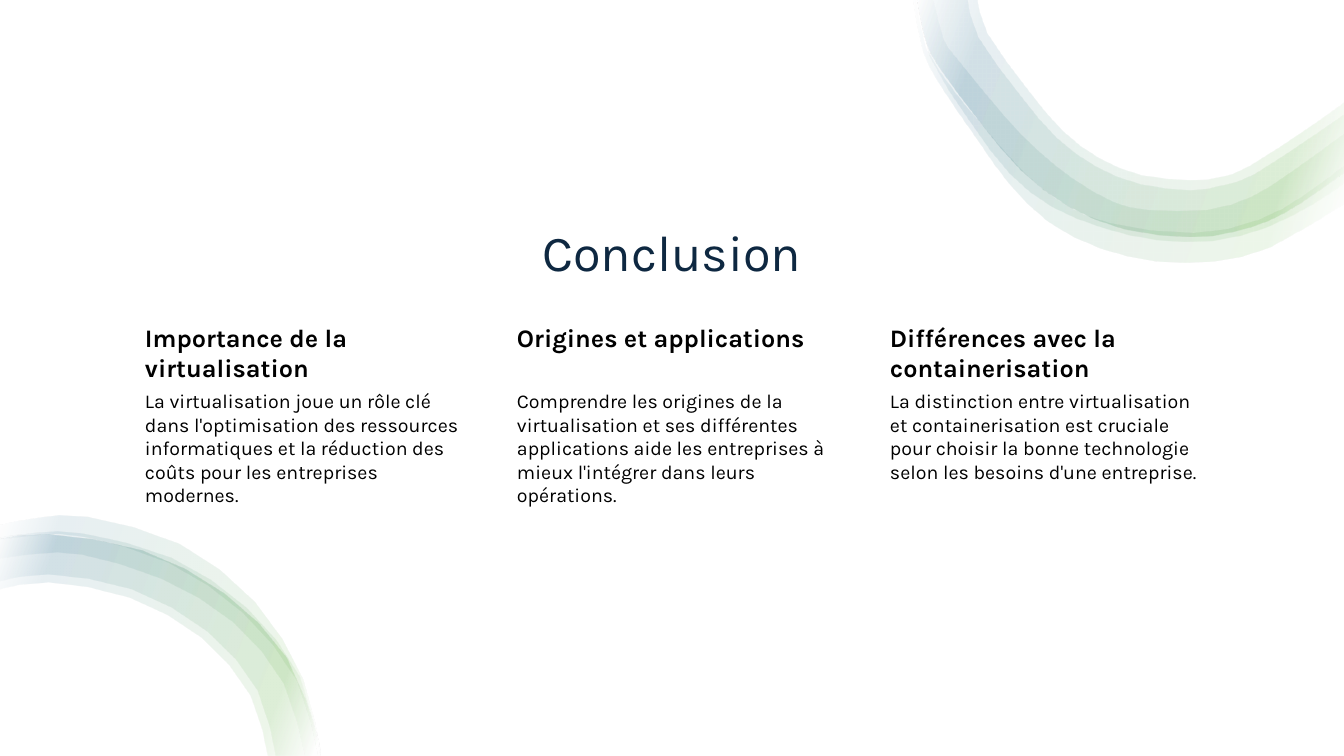
import pptx
import pptx.dml.color
import pptx.enum.shapes
import pptx.enum.text
import pptx.oxml
import pptx.oxml.ns
import pptx.util

RGBColor = pptx.dml.color.RGBColor
WHITE = RGBColor(0xFF, 0xFF, 0xFF)
BLACK = RGBColor(0x00, 0x00, 0x00)
NAVY = RGBColor(0x0E, 0x28, 0x41)
GREEN = RGBColor(0x4E, 0xA7, 0x2E)
TEAL = RGBColor(0x15, 0x60, 0x82)

WIDTH, HEIGHT = 1344, 756
EMU_PER_PX = 914400 / 100.8
RIBBON_STOPS = [(2, WHITE), (16, GREEN), (85, TEAL), (100, WHITE)]
RIBBON_OPACITY = 10
RIBBON_ANGLE = 200
CURVE_STEPS = 2

# Edges of the ribbon in the upper right corner, from left to right
UPPER_CORE = [
    (918, 0), (926, 40), (940, 68), (981, 123), (1021, 170), (1068, 206),
    (1124, 229), (1190, 237), (1231, 232), (1267, 221), (1300, 203), (1344, 172)]
UPPER_RIBBONS = [
    ([(914, 0), (923, 50), (941, 86), (978, 140), (1009, 183), (1049, 222),
      (1100, 248), (1156, 261), (1215, 261), (1271, 247), (1344, 204)],
     [(917, 0), (927, 49), (956, 93), (981, 123), (1023, 171), (1063, 203),
      (1110, 223), (1194, 233), (1258, 220), (1303, 196), (1344, 166)]),
    ([(918, 0), (931, 58), (971, 122), (1010, 173), (1052, 206), (1103, 227),
      (1156, 239), (1212, 240), (1265, 227), (1313, 203), (1344, 182)],
     [(934, 0), (944, 39), (957, 58), (1004, 115), (1037, 149), (1073, 178),
      (1113, 201), (1148, 209), (1207, 209), (1251, 196), (1291, 171),
      (1344, 133)]),
    (UPPER_CORE,
     [(968, 0), (979, 38), (1021, 96), (1057, 138), (1097, 167), (1140, 184),
      (1190, 190), (1223, 185), (1254, 174), (1318, 132), (1344, 114)]),
    (UPPER_CORE,
     [(978, 0), (988, 34), (1029, 91), (1063, 131), (1099, 158), (1141, 175),
      (1190, 180), (1220, 177), (1249, 166), (1312, 125), (1344, 102)]),
]

# Edges of the ribbon in the lower left corner, from left to right
LOWER_CORE = [
    (0, 540), (49, 535), (142, 551), (224, 594), (286, 658), (317, 738),
    (319, 756)]
LOWER_RIBBONS = [
    (LOWER_CORE,
     [(0, 590), (49, 583), (129, 598), (201, 638), (250, 696), (267, 756)]),
    (LOWER_CORE,
     [(0, 582), (49, 575), (132, 590), (207, 632), (257, 691), (275, 756)]),
    ([(0, 538), (38, 533), (84, 534), (171, 558), (246, 608), (299, 677),
      (319, 756)],
     [(0, 559), (39, 554), (82, 555), (161, 579), (232, 622), (283, 684),
      (304, 756)]),
    ([(0, 525), (37, 518), (87, 517), (179, 544), (254, 602), (302, 679),
      (320, 756)],
     [(0, 540), (39, 535), (84, 537), (168, 563), (242, 613), (296, 681),
      (317, 756)]),
]

COLUMNS = [
    ("Importance de la virtualisation",
     "La virtualisation joue un rôle clé dans l'optimisation des ressources "
     "informatiques et la réduction des coûts pour les entreprises modernes."),
    ("Origines et applications",
     "Comprendre les origines de la virtualisation et ses différentes "
     "applications aide les entreprises à mieux l'intégrer dans leurs opérations."),
    ("Différences avec la containerisation",
     "La distinction entre virtualisation et containerisation est cruciale "
     "pour choisir la bonne technologie selon les besoins d'une entreprise."),
]


def emu(px):
    return pptx.util.Emu(round(px * EMU_PER_PX))


def smooth(knots):
    """Return points on a Catmull-Rom curve through the knots."""
    padded = [knots[0], *knots, knots[-1]]
    points = [knots[0]]
    for before, start, end, after in zip(padded, padded[1:], padded[2:], padded[3:]):
        for step in range(1, CURVE_STEPS + 1):
            t = step / CURVE_STEPS
            points.append(tuple(
                b + t / 2 * (c - a + t * (2 * a - 5 * b + 4 * c - d
                                          + t * (3 * (b - c) + d - a)))
                for a, b, c, d in zip(before, start, end, after)))
    return points


def write_text(frame, text, size, color=BLACK, bold=False, font="Karla",
               align=pptx.enum.text.PP_ALIGN.LEFT, line_spacing=1.0):
    paragraph = frame.paragraphs[0]
    paragraph.alignment = align
    paragraph.line_spacing = line_spacing
    run = paragraph.add_run()
    run.text = text
    run.font.name = font
    run.font.size = pptx.util.Pt(size)
    run.font.bold = bold
    run.font.color.rgb = color


class SlideBuilder:
    def __init__(self, presentation):
        self.slide = presentation.slides.add_slide(presentation.slide_layouts[6])
        self.shapes = self.slide.shapes

    def rectangle(self, left, top, width, height, color):
        shape = self.shapes.add_shape(
            pptx.enum.shapes.MSO_SHAPE.RECTANGLE,
            emu(left), emu(top), emu(width), emu(height))
        shape.shadow.inherit = False
        shape.fill.solid()
        shape.fill.fore_color.rgb = color
        shape.line.fill.background()

    def text(self, left, top, width, height, text, insets=(10, 5, 10, 5),
             anchor=pptx.enum.text.MSO_ANCHOR.TOP, **text_format):
        box = self.shapes.add_textbox(emu(left), emu(top), emu(width), emu(height))
        frame = box.text_frame
        frame.word_wrap = True
        frame.vertical_anchor = anchor
        (frame.margin_left, frame.margin_top,
         frame.margin_right, frame.margin_bottom) = map(emu, insets)
        write_text(frame, text, **text_format)

    def ribbon_group(self, ribbons):
        group = self.shapes.add_group_shape()
        for outer, inner in ribbons:
            self.ribbon(group.shapes, outer, inner)

    def ribbon(self, shapes, outer, inner):
        outline = [(emu(x), emu(y)) for x, y in smooth(outer) + smooth(inner)[::-1]]
        builder = shapes.build_freeform(*outline[0])
        builder.add_line_segments(outline[1:], close=True)
        shape = builder.convert_to_shape()
        shape.shadow.inherit = False
        shape.line.fill.background()
        self.gradient(shape)

    def gradient(self, shape):
        stops = "".join(
            f'<a:gs pos="{position * 1000}"><a:srgbClr val="{color}">'
            f'<a:alpha val="{RIBBON_OPACITY * 1000}"/></a:srgbClr></a:gs>'
            for position, color in RIBBON_STOPS)
        fill = pptx.oxml.parse_xml(
            f'<a:gradFill {pptx.oxml.ns.nsdecls("a")} rotWithShape="1">'
            f'<a:gsLst>{stops}</a:gsLst>'
            f'<a:lin ang="{RIBBON_ANGLE * 60000}" scaled="0"/></a:gradFill>')
        geometry = shape.element.spPr.find(pptx.oxml.ns.qn("a:custGeom"))
        geometry.addnext(fill)


def main():
    presentation = pptx.Presentation()
    presentation.slide_width, presentation.slide_height = emu(WIDTH), emu(HEIGHT)
    builder = SlideBuilder(presentation)

    # Background and title
    builder.rectangle(0, 0, WIDTH, HEIGHT, WHITE)
    builder.text(130, 141, 1084, 146, "Conclusion", size=36, color=NAVY,
                 anchor=pptx.enum.text.MSO_ANCHOR.BOTTOM,
                 align=pptx.enum.text.PP_ALIGN.CENTER, line_spacing=0.9)

    # Upper ribbon
    builder.ribbon_group(UPPER_RIBBONS)

    # Three columns of heading and body
    for index, (heading, body) in enumerate(COLUMNS):
        left = 130 + index * 745 // 2
        builder.text(left, 319, 339, 68, heading, insets=(15, 3, 3, 3),
                     size=18, bold=True)
        builder.text(left, 387, 339, 229, body, insets=(15, 2, 2, 2), size=14)

    # Lower ribbon
    builder.ribbon_group(LOWER_RIBBONS)

    presentation.save("out.pptx")


if __name__ == "__main__":
    main()
